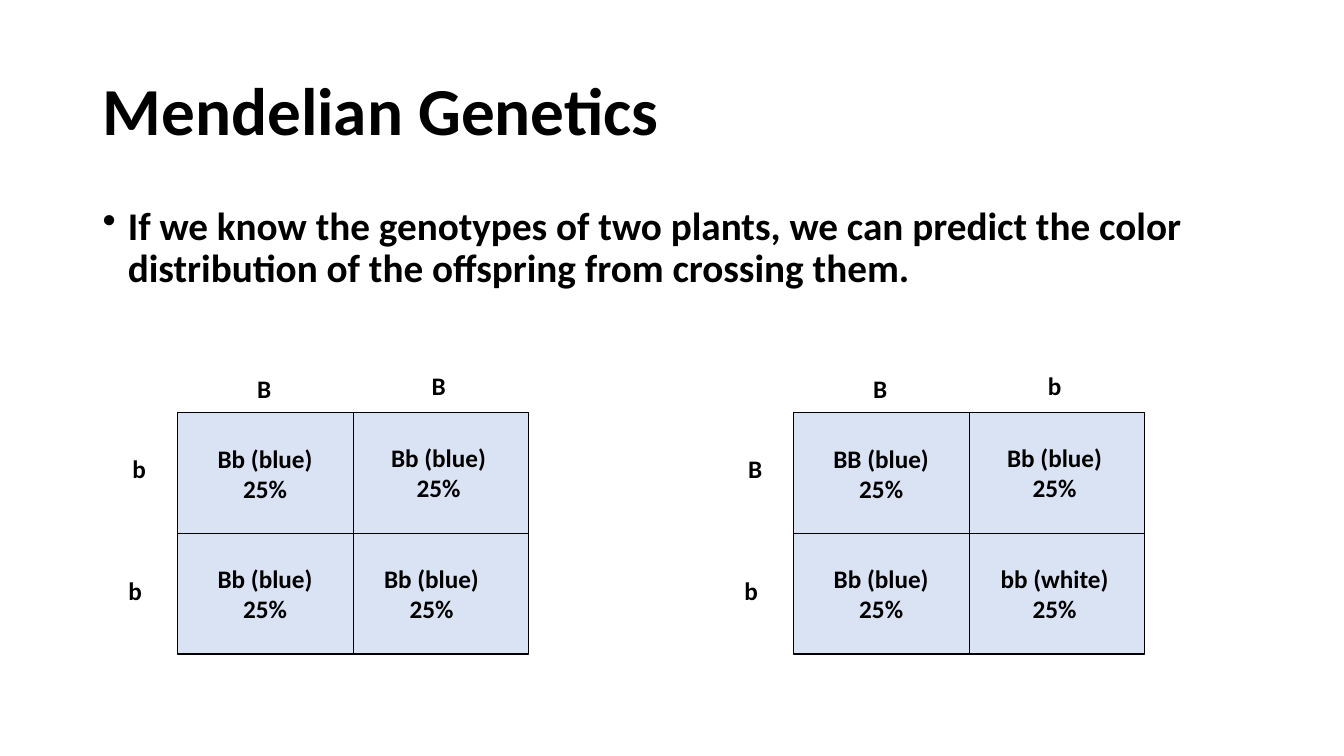
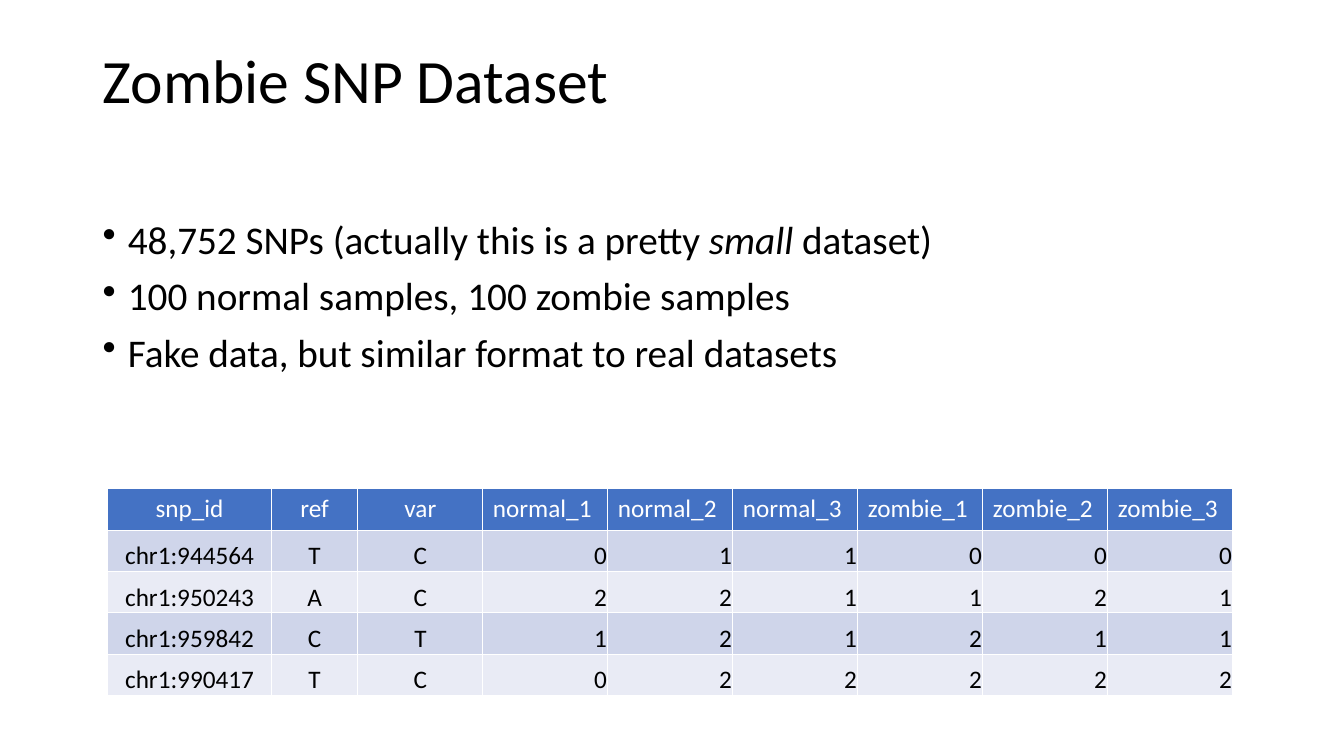
from lxml.etree import SubElement
from pptx import Presentation
from pptx.dml.color import RGBColor
from pptx.enum.shapes import MSO_CONNECTOR as CONN, MSO_SHAPE as SHAPE
from pptx.enum.text import MSO_ANCHOR as ANCHOR, PP_ALIGN as ALIGN
from pptx.oxml.ns import qn
from pptx.util import Pt

PX = 9144
FONT = "Calibri"
COLORS = {
    "text": "000000",
    "white": "FFFFFF",
    "square": "DAE3F3",
    "header": "4472C4",
    "band_dark": "CFD5EA",
    "band_light": "E9EBF5",
}
RGB = {name: RGBColor.from_string(value) for name, value in COLORS.items()}
TITLE = {"size": 44, "anchor": ANCHOR.MIDDLE, "spacing": 0.9}
BODY = {"size": 28, "bullet": True, "spacing": 0.9}
LABEL = {"size": 18, "bold": True, "align": ALIGN.CENTER}


def fill_text(tf, paragraphs, size, color="text", bold=False, align=ALIGN.LEFT,
              anchor=ANCHOR.TOP, spacing=None, bullet=False):
    tf.word_wrap = True
    tf.vertical_anchor = anchor
    for i, runs in enumerate(paragraphs):
        p = tf.add_paragraph() if i else tf.paragraphs[0]
        if bullet:
            pPr = p._p.get_or_add_pPr()
            pPr.set("marL", str(25 * PX))
            pPr.set("indent", str(-25 * PX))
            SubElement(pPr, qn("a:buChar")).set("char", "•")
            if i:
                p.space_before = Pt(10)
        p.alignment = align
        p.line_spacing = spacing
        for text, italic in [(runs, False)] if isinstance(runs, str) else runs:
            r = p.add_run()
            r.text = text
            font = {"name": FONT, "size": Pt(size), "bold": bold, "italic": italic}
            for key, value in font.items():
                setattr(r.font, key, value)
            r.font.color.rgb = RGB[color]


def add_text(s, box, paragraphs, style):
    sp = s.shapes.add_textbox(*[v * PX for v in box])
    fill_text(sp.text_frame, paragraphs, **style)


prs = Presentation()
prs.slide_width, prs.slide_height = 1333 * PX, 750 * PX
blank = prs.slide_layouts[6]

s = prs.slides.add_slide(blank)
add_text(s, (92, 40, 1150, 145), ["Mendelian Genetics"], {**TITLE, "size": 48, "bold": True})
add_text(s, (92, 200, 1150, 99), [
    "If we know the genotypes of two plants, we can predict the color "
    "distribution of the offspring from crossing them.",
], {**BODY, "bold": True})

CELL_W, CELL_H, TOP = 174, 120, 409
ALLELE_OFFSETS = [(40, -44), (213, -47), (-84, 36), (-88, 157)]
SQUARES = [
    (176, ["B", "B", "b", "b"], [
        ("Bb (blue)", 0, 26), ("Bb (blue)", 172, 25),
        ("Bb (blue)", 0, 145), ("Bb (blue)", 165, 145),
    ]),
    (787, ["B", "b", "B", "b"], [
        ("BB (blue)", 0, 26), ("Bb (blue)", 172, 25),
        ("Bb (blue)", 0, 145), ("bb (white)", 172, 145),
    ]),
]
for left, alleles, offspring in SQUARES:
    right, bottom = left + 2 * CELL_W, TOP + 2 * CELL_H
    sp = s.shapes.add_shape(SHAPE.RECTANGLE, left * PX, TOP * PX,
                            2 * CELL_W * PX, 2 * CELL_H * PX)
    sp.shadow.inherit = False
    sp.fill.solid()
    sp.fill.fore_color.rgb = RGB["square"]
    sp.line.color.rgb = RGB["text"]
    sp.line.width = Pt(1)
    mid_x, mid_y = left + CELL_W, TOP + CELL_H
    for ends in [(mid_x, TOP, mid_x, bottom), (left, mid_y, right, mid_y)]:
        line = s.shapes.add_connector(CONN.STRAIGHT, *[v * PX for v in ends])
        line.line.color.rgb = RGB["text"]
        line.line.width = Pt(0.5)
        SubElement(line._element.spPr, qn("a:effectLst"))
    for genotype, dx, dy in offspring:
        add_text(s, (left + dx, TOP + dy, CELL_W, 71), [genotype, "25%"], LABEL)
    for allele, (dx, dy) in zip(alleles, ALLELE_OFFSETS):
        add_text(s, (left + dx, TOP + dy, 92, 40), [allele], LABEL)

s = prs.slides.add_slide(blank)
add_text(s, (92, 40, 1150, 85), ["Zombie SNP Dataset"], TITLE)
add_text(s, (92, 214, 1150, 258), [
    [("48,752 SNPs (actually this is a pretty ", False), ("small ", True), ("dataset)", False)],
    "100 normal samples, 100 zombie samples",
    "Fake data, but similar format to real datasets",
], BODY)

ROWS = [
    ["snp_id", "ref", "var", "normal_1", "normal_2", "normal_3",
     "zombie_1", "zombie_2", "zombie_3"],
    ["chr1:944564", "T", "C", "0", "1", "1", "0", "0", "0"],
    ["chr1:950243", "A", "C", "2", "2", "1", "1", "2", "1"],
    ["chr1:959842", "C", "T", "1", "2", "1", "2", "1", "1"],
    ["chr1:990417", "T", "C", "0", "2", "2", "2", "2", "2"],
]
WIDTHS = [162, 86] + [124] * 7
ROW_H = 41
table = s.shapes.add_table(len(ROWS), len(WIDTHS), 107 * PX, 485 * PX,
                           sum(WIDTHS) * PX, ROW_H * len(ROWS) * PX).table
for column, width in zip(table.columns, WIDTHS):
    column.width = width * PX
for i, values in enumerate(ROWS):
    table.rows[i].height = ROW_H * PX
    fill = "header" if i == 0 else "band_dark" if i % 2 else "band_light"
    for j, value in enumerate(values):
        cell = table.cell(i, j)
        align = ALIGN.CENTER if j < 3 else ALIGN.RIGHT if i else ALIGN.LEFT
        fill_text(cell.text_frame, [value], 18, "text" if i else "white", align=align)
        if i:
            layout = {"vertical_anchor": ANCHOR.BOTTOM, "margin_left": PX,
                      "margin_right": PX, "margin_top": PX, "margin_bottom": 0}
            for key, length in layout.items():
                setattr(cell, key, length)
        tcPr = cell._tc.get_or_add_tcPr()
        for side in ("lnL", "lnR", "lnT", "lnB"):
            ln = SubElement(tcPr, qn("a:" + side))
            ln.set("w", str(Pt(1)))
            solid = SubElement(ln, qn("a:solidFill"))
            SubElement(solid, qn("a:srgbClr")).set("val", COLORS["white"])
        cell.fill.solid()
        cell.fill.fore_color.rgb = RGB[fill]

prs.save("out.pptx")
